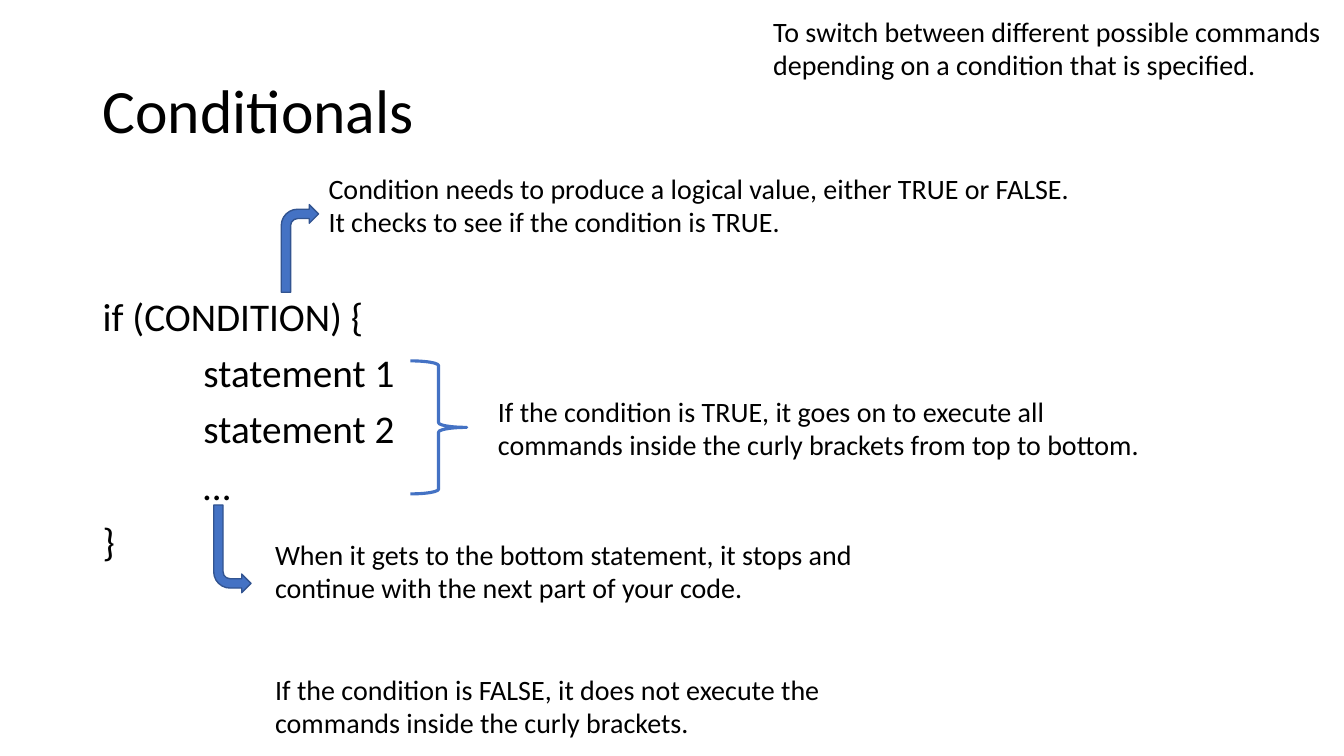
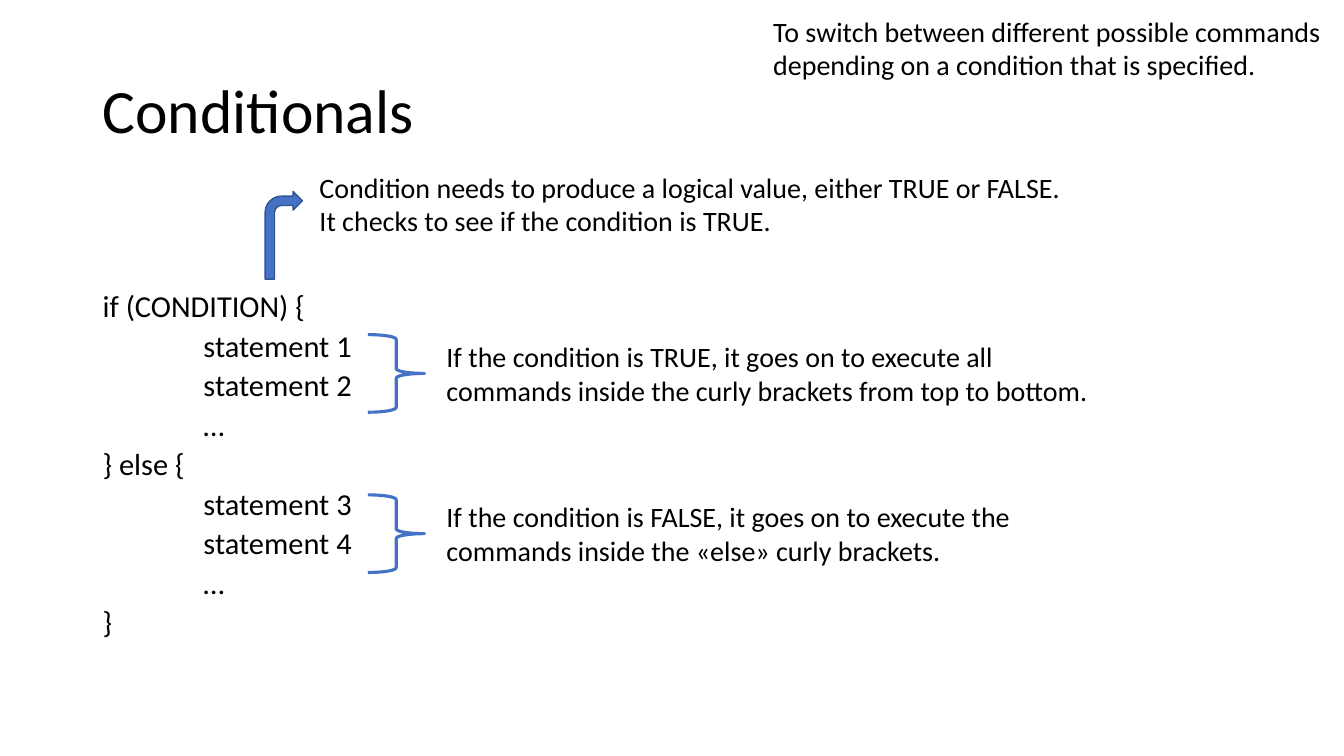
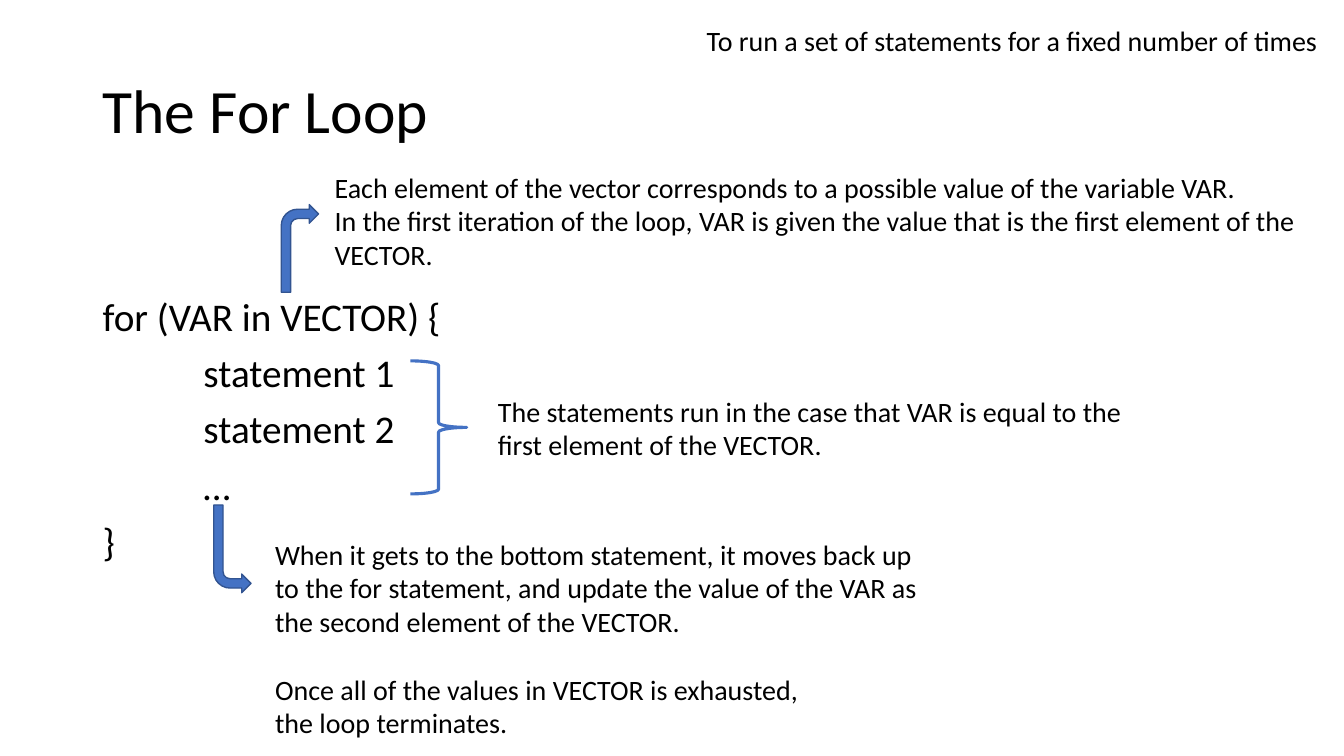
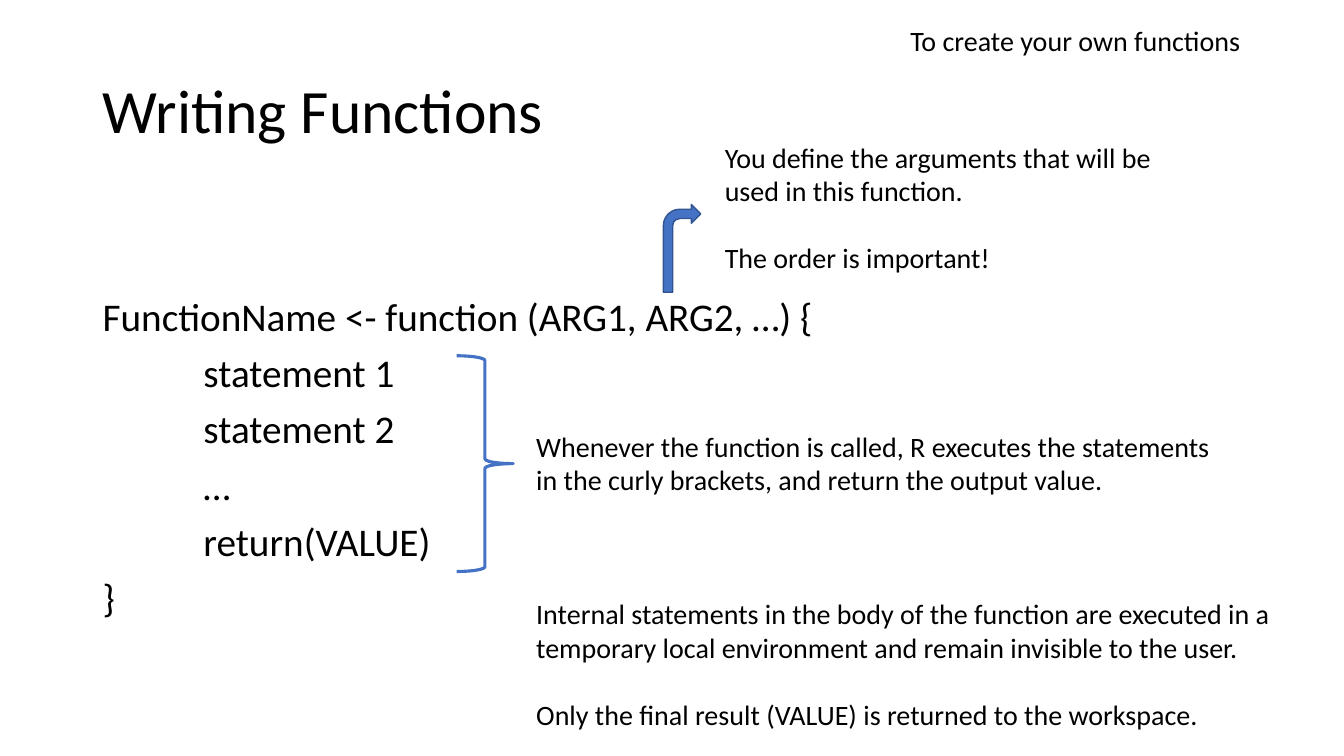
from pptx import Presentation
from pptx.dml.color import RGBColor
from pptx.enum.shapes import MSO_SHAPE
from pptx.enum.text import MSO_ANCHOR
from pptx.util import Emu, Pt

PX = 9144
SLIDE_SIZE = (1333, 750)
COLORS = {"text": "000000", "accent": "4472C4", "outline": "325491"}
FONT = "Calibri"
TITLE_BOX = (92, 40, 1150, 145)
CODE_BOX = (92, 290, 1150, 343)
TAB = 100
BRACE_WIDTH = 56
ARROW_SIZE = (37, 87)
TITLE_FORMAT = {"line_spacing": 0.9}
CODE_FORMAT = {"line_spacing": 0.9, "space_before": Pt(10)}
DENSE_FORMAT = {"line_spacing": 0.7, "space_before": Pt(10)}
GAP_FORMAT = {"space_after": Pt(24)}
STATEMENTS = ["\tstatement 1", "\tstatement 2", "\t…"]
CONDITIONAL_PURPOSE = (
    (757, 9, 577, 77),
    ["To switch between different possible commands depending on a condition that is specified."],
)
CONDITION_LINES = [
    "Condition needs to produce a logical value, either TRUE or FALSE.",
    "It checks to see if the condition is TRUE.",
]
TRUE_BRANCH = "If the condition is TRUE, it goes on to execute all commands inside the curly brackets from top to bottom."


def color(name):
    return RGBColor.from_string(COLORS[name])


def emu(lengths):
    return [Emu(length * PX) for length in lengths]


def apply(target, values):
    for name, value in values.items():
        setattr(target, name, value)


def add_text(slide, box, lines, size=20, paragraph_format=None, wrap=True, anchor=MSO_ANCHOR.TOP):
    frame = slide.shapes.add_textbox(*emu(box)).text_frame
    apply(frame, {"word_wrap": wrap, "vertical_anchor": anchor})
    for index, line in enumerate(lines):
        paragraph = frame.add_paragraph() if index else frame.paragraphs[0]
        apply(paragraph, paragraph_format or {})
        if line.startswith("\t"):
            paragraph._p.get_or_add_pPr().set("marL", str(TAB * PX))
        run = paragraph.add_run()
        run.text = line.lstrip("\t")
        apply(run.font, {"name": FONT, "size": Pt(size)})
        run.font.color.rgb = color("text")


def add_outlined(slide, kind, box, line_color, line_width):
    shape = slide.shapes.add_shape(kind, *emu(box))
    shape.shadow.inherit = False
    shape.line.color.rgb = color(line_color)
    shape.line.width = Pt(line_width)
    return shape


def add_arrow(slide, left, top, downward=False):
    shape = add_outlined(slide, MSO_SHAPE.BENT_ARROW, (left, top, *ARROW_SIZE), "outline", 1)
    shape.fill.solid()
    shape.fill.fore_color.rgb = color("accent")
    if downward:
        shape.rotation = 180
        shape._element.spPr.get_or_add_xfrm().set("flipH", "1")


def add_brace(slide, left, top, height):
    box = (left, top, BRACE_WIDTH, height)
    add_outlined(slide, MSO_SHAPE.RIGHT_BRACE, box, "accent", 2.25).fill.background()


def add_code_slide(presentation, title, code, code_size=28, code_format=CODE_FORMAT):
    slide = presentation.slides.add_slide(presentation.slide_layouts[6])
    add_text(slide, TITLE_BOX, [title], 44, TITLE_FORMAT, anchor=MSO_ANCHOR.MIDDLE)
    add_text(slide, CODE_BOX, code, code_size, code_format)
    return slide


def add_flow_slide(presentation, title, header, body_note, end_note, end_height, last_note):
    slide = add_code_slide(presentation, title, [header, *STATEMENTS, "}"])
    add_arrow(slide, 279, 203)
    add_brace(slide, 407, 358, 132)
    add_text(slide, (484, 386, 666, 77), [body_note])
    add_text(slide, (263, 528, 666, end_height), [end_note])
    add_arrow(slide, 212, 501, downward=True)
    add_text(slide, (263, 662, 565, 77), [last_note])
    return slide


def add_if_slide(presentation):
    slide = add_flow_slide(
        presentation, "Conditionals", "if (CONDITION) {", TRUE_BRANCH,
        "When it gets to the bottom statement, it stops and continue with the next part of your code.", 77,
        "If the condition is FALSE, it does not execute the commands inside the curly brackets.",
    )
    add_text(slide, (316, 165, 755, 77), CONDITION_LINES, wrap=False)
    add_text(slide, *CONDITIONAL_PURPOSE)


def add_else_slide(presentation):
    code = ["if (CONDITION) {", *STATEMENTS, "} else {", "\tstatement 3", "\tstatement 4", "\t…", "}"]
    slide = add_code_slide(presentation, "Conditionals", code, 21.7, DENSE_FORMAT)
    add_arrow(slide, 263, 190)
    add_text(slide, (307, 164, 755, 77), CONDITION_LINES, wrap=False)
    branches = [
        (332, TRUE_BRANCH),
        (491, "If the condition is FALSE, it goes on to execute the commands inside the «else» curly brackets."),
    ]
    for top, note in branches:
        add_brace(slide, 365, top, 77)
        add_text(slide, (433, top, 666, 77), [note])
    add_text(slide, *CONDITIONAL_PURPOSE)


def add_loop_slide(presentation):
    slide = add_flow_slide(
        presentation, "The For Loop", "for (VAR in VECTOR) {",
        "The statements run in the case that VAR is equal to the first element of the VECTOR.",
        "When it gets to the bottom statement, it moves back up to the for statement, "
        "and update the value of the VAR as the second element of the VECTOR.", 111,
        "Once all of the values in VECTOR is exhausted, the loop terminates.",
    )
    add_text(slide, (322, 164, 990, 111), [
        "Each element of the vector corresponds to a possible value of the variable VAR.",
        "In the first iteration of the loop, VAR is given the value that is the first element of the VECTOR.",
    ])
    add_text(slide, (691, 18, 632, 44), ["To run a set of statements for a fixed number of times"], wrap=False)


def add_function_slide(presentation):
    code = ["FunctionName <- function (ARG1, ARG2, …) {", *STATEMENTS, "\treturn(VALUE)", "}"]
    slide = add_code_slide(presentation, "Writing Functions", code)
    add_arrow(slide, 658, 203)
    add_text(slide, (709, 134, 473, 145), [
        "You define the arguments that will be used in this function.",
        "The order is important!",
    ], paragraph_format=GAP_FORMAT)
    add_brace(slide, 453, 353, 214)
    add_text(slide, (522, 421, 698, 77), [
        "Whenever the function is called, R executes the statements in the curly brackets, "
        "and return the output value.",
    ])
    add_text(slide, (522, 587, 773, 145), [
        "Internal statements in the body of the function are executed in a temporary local environment "
        "and remain invisible to the user.",
        "Only the final result (VALUE) is returned to the workspace.",
    ], paragraph_format=GAP_FORMAT)
    add_text(slide, (893, 18, 357, 44), ["To create your own functions"], wrap=False)


def main():
    presentation = Presentation()
    presentation.slide_width, presentation.slide_height = emu(SLIDE_SIZE)
    for add_slide in (add_if_slide, add_else_slide, add_loop_slide, add_function_slide):
        add_slide(presentation)
    presentation.save("out.pptx")


if __name__ == "__main__":
    main()
